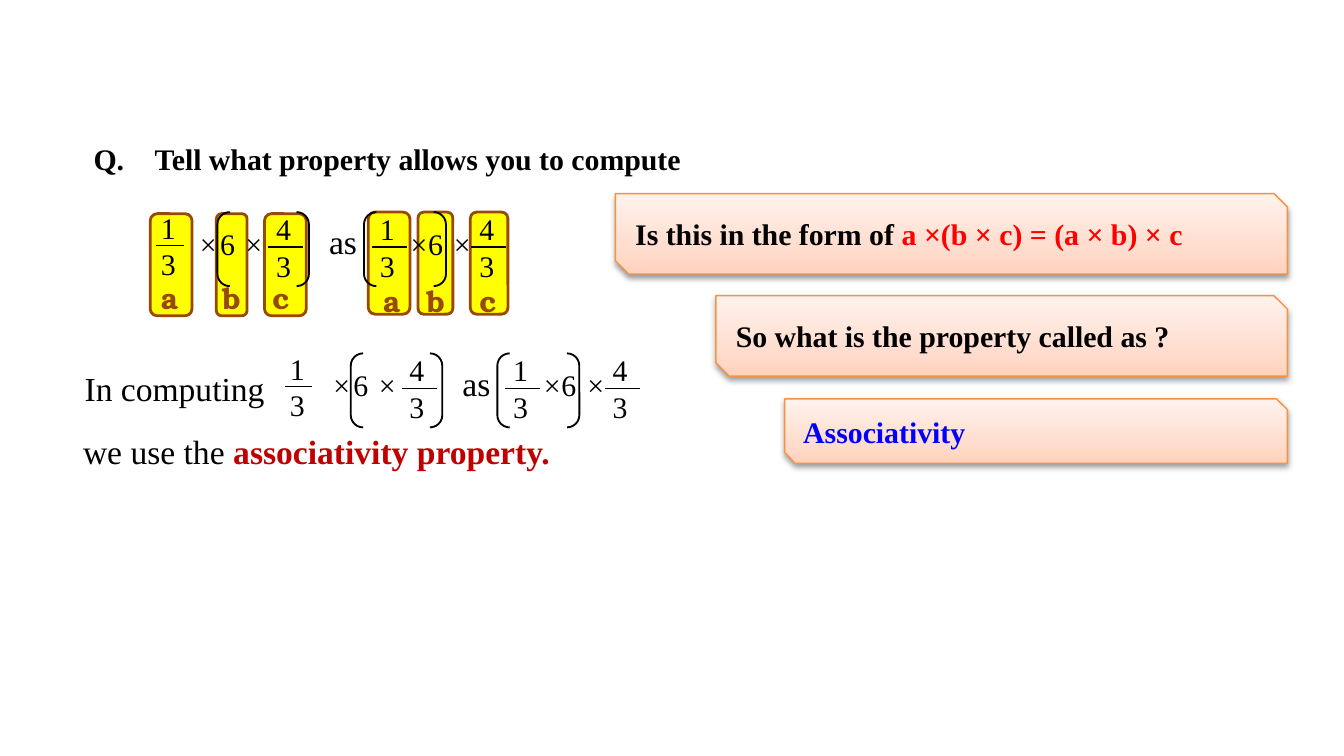
from copy import deepcopy

from lxml.etree import SubElement
from pptx import Presentation
from pptx.dml.color import RGBColor
from pptx.enum.shapes import MSO_CONNECTOR, MSO_SHAPE
from pptx.enum.text import MSO_ANCHOR, MSO_AUTO_SIZE, PP_ALIGN
from pptx.oxml.ns import qn
from pptx.util import Cm, Pt

COLORS = {
    "black": "000000", "yellow": "FFFF00", "brown": "984807",
    "orange": "F69240", "red": "FF0000", "dark_red": "C00000",
    "blue": "0000FF",
}
CALLOUT_STOPS = [(0, "FFD2BD"), (0.35, "FFDED0"), (1, "FFF2ED")]
SERIF = "Times New Roman"
LABEL_FONT = "TeX Gyre Bonum"
LINE_HEIGHT = 0.94


def rgb(name):
    return RGBColor.from_string(COLORS[name])


def write(frame, pieces, size=16, font=SERIF, align=PP_ALIGN.LEFT):
    """Fill one paragraph with (text, color, bold) pieces."""
    paragraph = frame.paragraphs[0]
    paragraph.alignment = align
    for text, color, bold in pieces:
        run = paragraph.add_run()
        run.text = text
        run.font.size, run.font.name, run.font.bold = Pt(size), font, bold
        run.font.color.rgb = rgb(color)


def add_text(slide, x, y, width, pieces, size=16, font=SERIF,
             align=PP_ALIGN.LEFT, wrap=True, height=LINE_HEIGHT):
    if isinstance(pieces, str):
        pieces = [(pieces, "black", False)]
    frame = slide.shapes.add_textbox(Cm(x), Cm(y), Cm(width), Cm(height)).text_frame
    frame.word_wrap = wrap
    frame.auto_size = MSO_AUTO_SIZE.SHAPE_TO_FIT_TEXT
    write(frame, pieces, size, font, align)


def add_outline(slide, preset, x, y, width, height, color, weight):
    shape = slide.shapes.add_shape(preset, Cm(x), Cm(y), Cm(width), Cm(height))
    shape.shadow.inherit = False
    shape.fill.background()
    shape.line.color.rgb = rgb(color)
    shape.line.width = Pt(weight)
    return shape


def add_question(slide, x, y):
    """Question number and the question as slide title."""
    title = slide.shapes.title
    title.left, title.top = Cm(x + 1.15), Cm(y)
    title.width, title.height = Cm(10.87), Cm(LINE_HEIGHT)
    frame = title.text_frame
    frame.word_wrap = True
    frame.auto_size = MSO_AUTO_SIZE.NONE
    frame.vertical_anchor = MSO_ANCHOR.TOP
    write(frame, [("Tell what property allows you to compute", "black", True)])
    add_text(slide, x, y, 1.63, [("Q.", "black", True)])


def add_tiles(slide, x, y, label_drop, tiles):
    """Highlight the factors; tiles hold letter, offset, width, label offset."""
    for letter, dx, width, label_dx in tiles:
        tile = add_outline(slide, MSO_SHAPE.ROUNDED_RECTANGLE,
                           x + dx, y, width, 1.93, "brown", 1.5)
        tile.fill.solid()
        tile.fill.fore_color.rgb = rgb("yellow")
        add_text(slide, x + label_dx, y + label_drop, 0.86,
                 [(letter, "brown", True)], font=LABEL_FONT)


def add_fraction(slide, x, y, numerator, denominator, bar_dx=0.1, bar_width=0.66):
    bar_left, bar_y = x + bar_dx, y + 0.81
    bar = slide.shapes.add_connector(
        MSO_CONNECTOR.STRAIGHT, Cm(bar_left), Cm(bar_y),
        Cm(bar_left + bar_width), Cm(bar_y))
    bar.line.color.rgb = rgb("black")
    bar.line.width = Pt(0.75)
    SubElement(bar._element.spPr, qn("a:effectLst"))
    add_text(slide, x, y, 0.91, numerator)
    add_text(slide, x, y + 0.69, 0.91, denominator)


def add_equation(slide, x, y, lead_dx=0, lead_bar=0.53):
    """1/3 × (6 × 4/3) as (1/3 × 6) × 4/3."""
    add_fraction(slide, x + lead_dx, y - 0.03, "1", "3", 0.15, lead_bar)
    for dx, numerator in [(2.18, "4"), (4.14, "1"), (6.02, "4")]:
        add_fraction(slide, x + dx, y, numerator, "3")
    for dx in (1.12, 5.05):
        add_text(slide, x + dx, y + 0.28, 0.69, "6")
    for dx in (0.74, 1.6, 4.72, 5.54):
        add_text(slide, x + dx, y + 0.28, 0.71, "×", align=PP_ALIGN.CENTER)
    for dx, width in [(1.32, 1.73), (4.09, 1.55)]:
        add_outline(slide, MSO_SHAPE.DOUBLE_BRACKET,
                    x + dx, y + 0.15, width, 1.4, "black", 1)
    add_text(slide, x + 3.18, y + 0.2, 1.09, "as", 18, wrap=False, height=1.02)


def add_answer(slide, x, y):
    """Answer sentence wrapped around the second equation."""
    add_text(slide, x + 0.03, y, 4.29, "In computing", 18, wrap=False, height=1.02)
    add_equation(slide, x + 3.99, y - 0.3, -0.08, 0.51)
    add_text(slide, x, y + 1.2, 9.42,
             [("we use the ", "black", False),
              ("associativity property.", "dark_red", True)],
             18, wrap=False, height=1.02)


def add_callout(slide, x, y, width, height, pieces):
    callout = add_outline(slide, MSO_SHAPE.SNIP_2_DIAG_RECTANGLE,
                          x, y, width, height, "orange", 0.75)
    properties = callout._element.spPr

    # Three-stop gradient running upwards
    callout.fill.gradient()
    callout.fill.gradient_angle = 90
    stop_list = properties.find(qn("a:gradFill")).find(qn("a:gsLst"))
    stop_list.append(deepcopy(stop_list[-1]))
    for stop, (position, color) in zip(callout.fill.gradient_stops, CALLOUT_STOPS):
        stop.position = position
        stop.color.rgb = RGBColor.from_string(color)

    # Soft shadow below
    shadow = SubElement(properties.find(qn("a:effectLst")), qn("a:outerShdw"),
                        blurRad=str(Pt(3.1)), dist=str(Pt(1.6)),
                        dir="5400000", rotWithShape="0")
    shade = SubElement(shadow, qn("a:srgbClr"), val=COLORS["black"])
    SubElement(shade, qn("a:alpha"), val="38000")

    callout.text_frame.word_wrap = True
    callout.text_frame.vertical_anchor = MSO_ANCHOR.MIDDLE
    write(callout.text_frame, pieces)


def add_hints(slide, right):
    """Callouts that share their right edge."""
    hints = [
        (3.66, 12.7, 1.52, [("Is this in the form of ", "black", True),
                            ("a ×(b × c) = (a × b) × c", "red", True)]),
        (5.59, 10.8, 1.52, [("So what is the property called as ?", "black", True)]),
        (7.54, 9.5, 1.22, [("Associativity", "blue", True)]),
    ]
    for y, width, height, pieces in hints:
        add_callout(slide, right - width, y, width, height, pieces)


def main():
    deck = Presentation()
    deck.slide_width, deck.slide_height = Cm(25.4), Cm(14.29)
    slide = deck.slides.add_slide(deck.slide_layouts[5])

    add_tiles(slide, 2.79, 4.04, 1.12, [
        ("a", 0.05, 0.79, 0), ("b", 1.3, 0.58, 1.17), ("c", 2.21, 0.79, 2.11)])
    add_tiles(slide, 6.96, 4.01, 1.2, [
        ("a", 0, 0.79, 0.03), ("b", 0.94, 0.66, 0.86), ("c", 1.93, 0.71, 1.85)])
    add_question(slide, 1.52, 2.54)
    add_equation(slide, 2.79, 3.86)
    add_hints(slide, 24.33)
    add_answer(slide, 1.32, 6.83)

    deck.save("out.pptx")


if __name__ == "__main__":
    main()
